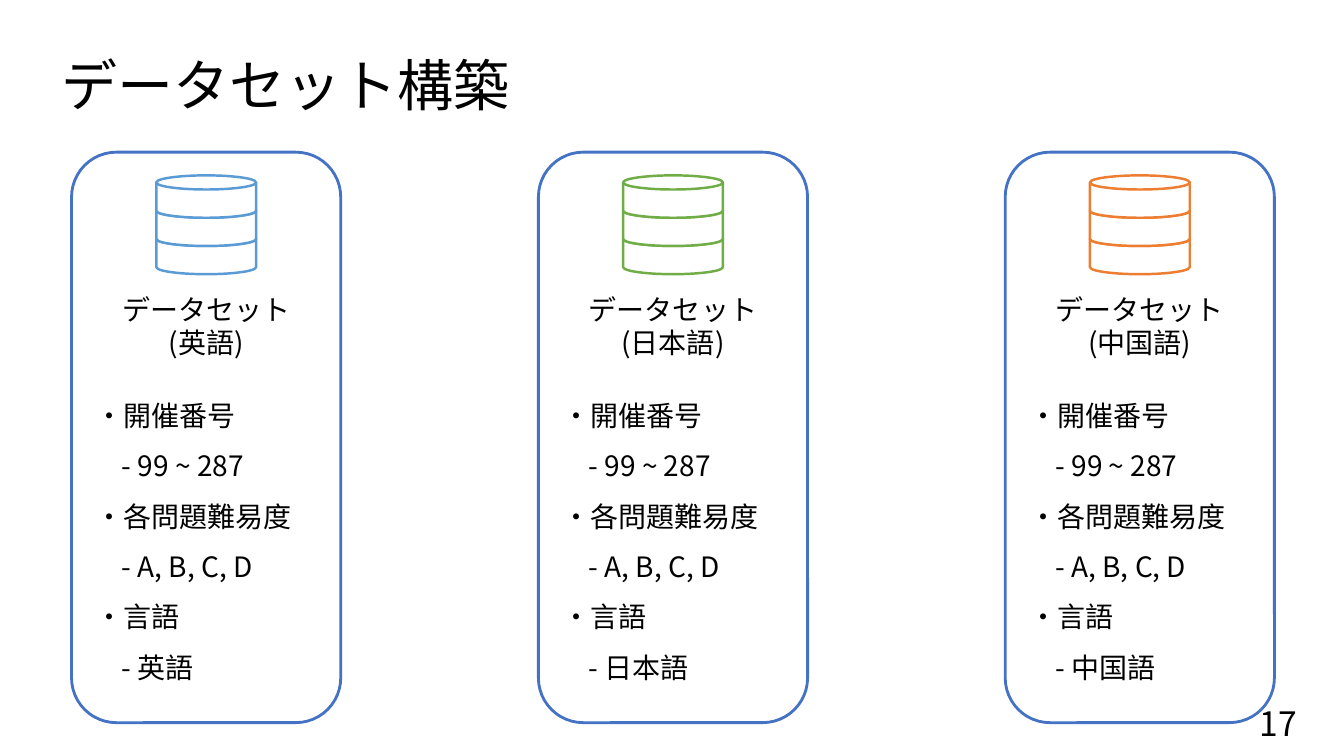
from lxml.etree import SubElement
from pptx import Presentation
from pptx.dml.color import RGBColor
from pptx.enum.shapes import MSO_SHAPE as Shape
from pptx.enum.text import MSO_ANCHOR as Anchor, PP_ALIGN as Align
from pptx.oxml.ns import qn
from pptx.util import Inches, Pt

FONT = "Noto Sans CJK JP"
BLACK = RGBColor(0x00, 0x00, 0x00)
WHITE = RGBColor(0xFF, 0xFF, 0xFF)
CARD_BLUE = RGBColor(0x44, 0x72, 0xC4)
LIGHT_BLUE = RGBColor(0x5B, 0x9B, 0xD5)
GREEN = RGBColor(0x70, 0xAD, 0x47)
ORANGE = RGBColor(0xED, 0x7D, 0x31)

DATASETS = [("英語", LIGHT_BLUE), ("日本語", GREEN), ("中国語", ORANGE)]
CARD_LEFT, CARD_PITCH = 0.71, 4.63
DETAIL_INDENT = 0.26


def write_text(frame, lines, size=20, align=Align.LEFT, anchor=Anchor.TOP,
               spacing=None, indents=None):
    """Fill a text frame with one paragraph per line."""
    frame.word_wrap = True
    frame.vertical_anchor = anchor
    for index, line in enumerate(lines):
        paragraph = frame.paragraphs[0] if index == 0 else frame.add_paragraph()
        paragraph.alignment = align
        if spacing:
            paragraph.line_spacing = spacing
        if indents and indents[index]:
            properties = paragraph._p.get_or_add_pPr()
            properties.set("marL", str(Inches(indents[index])))
            properties.set("indent", "0")
        run = paragraph.add_run()
        run.text = line
        run.font.size = Pt(size)
        run.font.color.rgb = BLACK
        run.font.name = FONT
        SubElement(run._r.get_or_add_rPr(), qn("a:ea"), typeface=FONT)


def add_text(slide, left, top, width, height, lines, **text_format):
    box = slide.shapes.add_textbox(
        Inches(left), Inches(top), Inches(width), Inches(height))
    write_text(box.text_frame, lines, **text_format)


def add_outline(shapes, kind, left, top, width, height, color, weight, fill=None):
    shape = shapes.add_shape(
        kind, Inches(left), Inches(top), Inches(width), Inches(height))
    shape.shadow.inherit = False
    if fill is None:
        shape.fill.background()
    else:
        shape.fill.solid()
        shape.fill.fore_color.rgb = fill
    shape.line.color.rgb = color
    shape.line.width = Pt(weight)


def add_database_icon(slide, left, top, color):
    """Stack three disks, the lowest one at the back."""
    group = slide.shapes.add_group_shape()
    for level in (2, 1, 0):
        add_outline(group.shapes, Shape.FLOWCHART_MAGNETIC_DISK,
                    left, top + level * 0.28, 0.99, 0.42, color, 1.75, fill=WHITE)


def add_dataset_card(slide, left, language, color):
    add_text(slide, left + 0.38, 2.85, 1.91, 0.77,
             ["データセット", f"({language})"], align=Align.CENTER)
    add_outline(slide.shapes, Shape.ROUNDED_RECTANGLE,
                left, 1.51, 2.67, 5.66, CARD_BLUE, 2)
    add_text(slide, left + 0.14, 3.75, 2.37, 3.07,
             ["・開催番号", "- 99 ~ 287", "・各問題難易度", "- A, B, C, D",
              "・言語", f"- {language}"],
             anchor=Anchor.MIDDLE, spacing=1.5, indents=[0, DETAIL_INDENT] * 3)
    add_database_icon(slide, left + 0.84, 1.74, color)


def main():
    presentation = Presentation()
    presentation.slide_width = Inches(13.33)
    presentation.slide_height = Inches(7.5)
    slide = presentation.slides.add_slide(presentation.slide_layouts[5])

    # Title
    title = slide.shapes.title
    title.left, title.top = Inches(0.51), Inches(0.15)
    title.width, title.height = Inches(11.5), Inches(1.45)
    write_text(title.text_frame, ["データセット構築"], size=40,
               anchor=Anchor.MIDDLE, spacing=0.9)

    # One card per language
    for index, (language, color) in enumerate(DATASETS):
        add_dataset_card(slide, CARD_LEFT + index * CARD_PITCH, language, color)

    # Page number
    add_text(slide, 9.96, 6.97, 3, 0.4, ["17"], size=24,
             align=Align.RIGHT, anchor=Anchor.MIDDLE)

    presentation.save("out.pptx")


if __name__ == "__main__":
    main()
